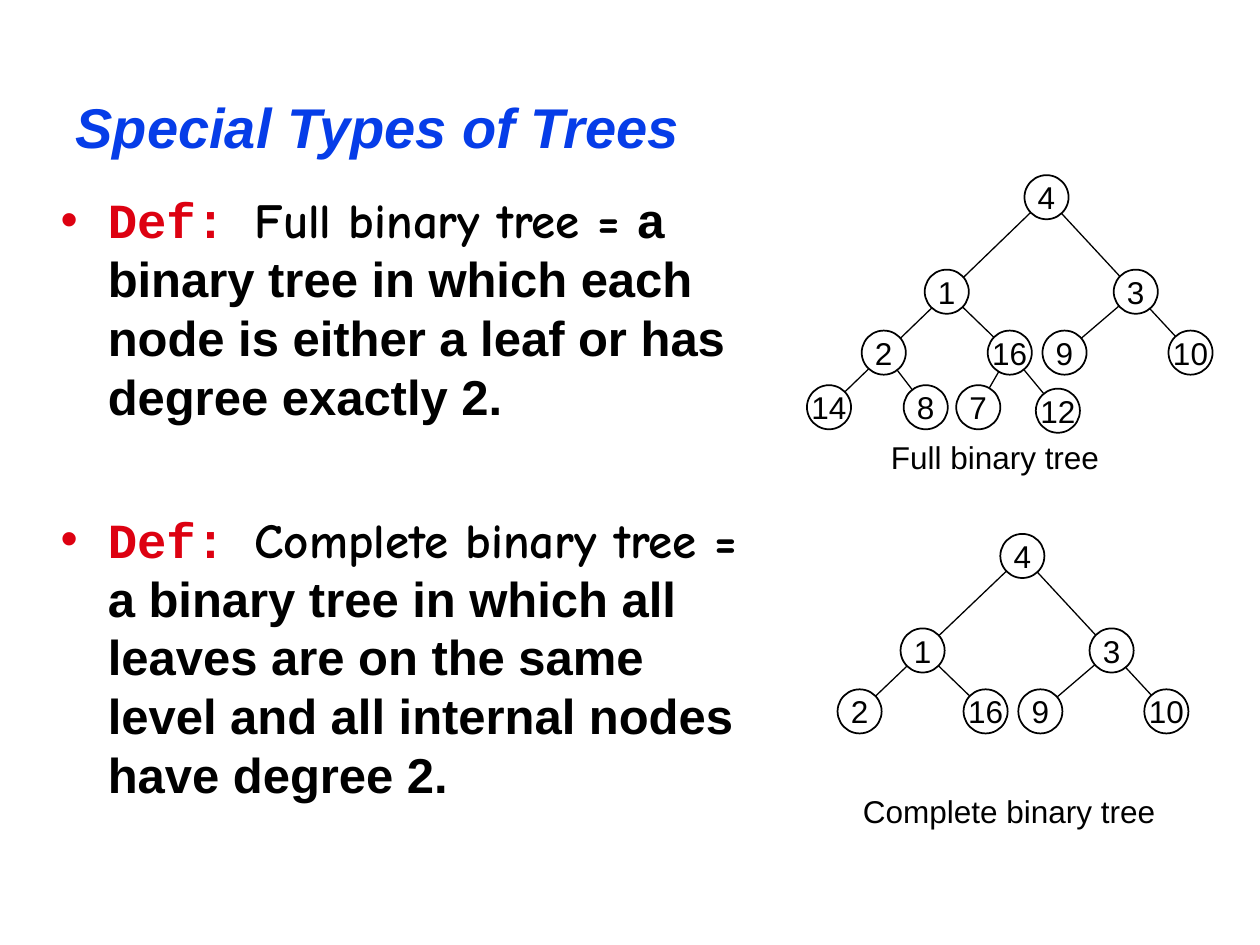
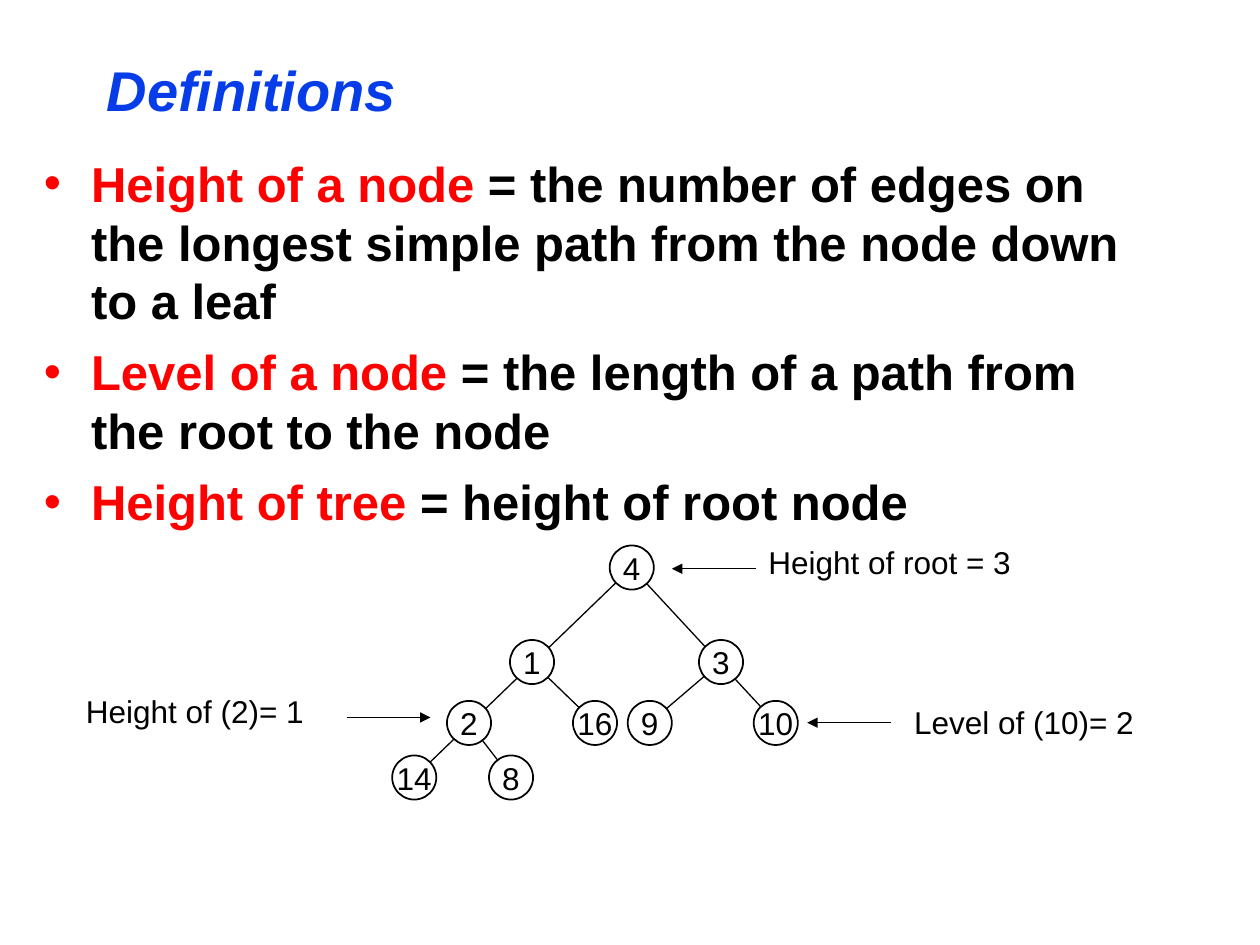
from lxml import etree
from pptx import Presentation
from pptx.dml.color import RGBColor
from pptx.enum import shapes, text
from pptx.oxml import ns
from pptx.util import Pt

BLACK, WHITE, TITLE_BLUE = "000000", "FFFFFF", "063DE8"
CRIMSON, RED = "DD0111", "FF0000"
SANS, MONO, COMIC = "Arial", "Courier New", "Comic Neue"
NODE_SIZE = 25.2
HANGING = 27

OFFSETS = {
    "4": (0, 0), "1": (-57, 54), "3": (51, 54),
    "2": (-93, 88.8), "16": (-21, 88.8), "9": (10.3, 88.8), "10": (82.3, 88.8),
    "14": (-124.3, 120), "8": (-69, 120), "7": (-39, 120), "12": (6.5, 122),
}
COMPLETE_NODES = ["4", "1", "3", "2", "16", "9", "10"]
SHARED_BRANCHES = [("10", "4"), ("16", "1"), ("9", "3")]
COMPLETE_BRANCHES = [("2", "4")] + SHARED_BRANCHES
DEEP_BRANCHES = [("14", "4"), ("8", "2")] + SHARED_BRANCHES
FULL_BRANCHES = [("12", "16"), ("7", "16")] + DEEP_BRANCHES


def rgb(value):
    return RGBColor.from_string(value)


def add_child(parent, tag, **attributes):
    return etree.SubElement(parent, ns.qn(tag), attributes)


def style(font, size, color=BLACK, name=SANS, bold=False, italic=False):
    font.name, font.size, font.bold, font.italic = name, Pt(size), bold, italic
    font.color.rgb = rgb(color)


def add_titled_slide(deck, title, left, top, width, height):
    slide = deck.slides.add_slide(deck.slide_layouts[5])
    heading = slide.shapes.title
    heading.left, heading.top = Pt(left), Pt(top)
    heading.width, heading.height = Pt(width), Pt(height)
    frame = heading.text_frame
    frame.text = title
    frame.auto_size = text.MSO_AUTO_SIZE.NONE
    frame.vertical_anchor = text.MSO_ANCHOR.MIDDLE
    line = frame.paragraphs[0]
    line.alignment = text.PP_ALIGN.LEFT
    style(line.runs[0].font, 32, TITLE_BLUE, bold=True, italic=True)
    return slide


def add_bullet(paragraph, color):
    properties = paragraph._p.get_or_add_pPr()
    properties.set("marL", str(Pt(HANGING)))
    properties.set("indent", str(-Pt(HANGING)))
    add_child(add_child(properties, "a:buClr"), "a:srgbClr", val=color)
    add_child(properties, "a:buFont", typeface=SANS)
    add_child(properties, "a:buChar", char="•")


def add_definitions(slide, left, top, width, height, definitions, gap):
    frame = slide.shapes.add_textbox(Pt(left), Pt(top), Pt(width), Pt(height)).text_frame
    frame.word_wrap = True
    for index, parts in enumerate(definitions):
        paragraph = frame.add_paragraph() if index else frame.paragraphs[0]
        add_bullet(paragraph, parts[0][1])
        paragraph.space_before = Pt(gap if index else 0)
        for words, color, name in parts:
            run = paragraph.add_run()
            run.text = words
            style(run.font, 28, color, name, bold=True)


def add_label(slide, words, left, top, width):
    frame = slide.shapes.add_textbox(Pt(left), Pt(top), Pt(width), Pt(28.8)).text_frame
    frame.word_wrap = False
    frame.text = words
    style(frame.paragraphs[0].runs[0].font, 18)


def add_line(slide, start, end, arrow=False):
    line = slide.shapes.add_connector(
        shapes.MSO_CONNECTOR.STRAIGHT, *(Pt(value) for value in (*start, *end)))
    line.line.color.rgb = rgb(BLACK)
    line.line.width = Pt(0.75)
    if arrow:
        add_child(line.line._get_or_add_ln(), "a:tailEnd", type="triangle")
    add_child(line._element.spPr, "a:effectLst")


def add_node(slide, key, center):
    left, top = (value - NODE_SIZE / 2 for value in center)
    node = slide.shapes.add_shape(
        shapes.MSO_SHAPE.OVAL, Pt(left), Pt(top), Pt(NODE_SIZE), Pt(NODE_SIZE))
    node.shadow.inherit = False
    node.fill.solid()
    node.fill.fore_color.rgb = rgb(WHITE)
    node.line.color.rgb = rgb(BLACK)
    node.line.width = Pt(1)
    frame = node.text_frame
    frame.word_wrap = False
    frame.vertical_anchor = text.MSO_ANCHOR.MIDDLE
    frame.text = key
    frame.paragraphs[0].alignment = text.PP_ALIGN.CENTER
    style(frame.paragraphs[0].runs[0].font, 18)


def add_tree(slide, root_x, root_y, keys, branches):
    centers = {key: (root_x + OFFSETS[key][0], root_y + OFFSETS[key][1]) for key in keys}
    for lower, upper in branches:
        add_line(slide, centers[lower], centers[upper])
    for key, center in centers.items():
        add_node(slide, key, center)


def build_special_trees(deck):
    slide = add_titled_slide(deck, "Special Types of Trees", 36, 18, 648, 108)
    definitions = [
        [("Def: ", CRIMSON, MONO), (f"{kind} binary tree = ", BLACK, COMIC), (meaning, BLACK, SANS)]
        for kind, meaning in [
            ("Full", "a binary tree in which each node is either a leaf or has degree exactly 2."),
            ("Complete", "a binary tree in which all leaves are on the same level "
                         "and all internal nodes have degree 2."),
        ]
    ]
    add_definitions(slide, 27.5, 105, 417, 405, definitions, gap=48)
    add_tree(slide, 598, 112.7, list(OFFSETS), FULL_BRANCHES)
    add_label(slide, "Full binary tree", 502, 246.5, 135)
    add_tree(slide, 584.2, 317.7, COMPLETE_NODES, COMPLETE_BRANCHES)
    add_label(slide, "Complete binary tree", 486, 449, 183)


def build_definitions(deck):
    slide = add_titled_slide(deck, "Definitions", 53.8, 24, 612, 54)
    definitions = [
        [(term, RED, SANS), (meaning, BLACK, SANS)]
        for term, meaning in [
            ("Height of a node ", "= the number of edges on the longest simple path "
                                  "from the node down to a leaf"),
            ("Level of a node ", "= the length of a path from the root to the node"),
            ("Height of tree ", "= height of root node"),
        ]
    ]
    add_definitions(slide, 18, 84, 648, 306, definitions, gap=7)
    add_tree(slide, 361, 324.3, COMPLETE_NODES + ["14", "8"], DEEP_BRANCHES)
    for words, left, top, width, arrow_start, arrow_end, arrow_y in [
        ("Height of root = 3", 432, 307, 153, 432, 384, 325),
        ("Height of (2)= 1", 42, 392, 139, 198, 246, 410),
        ("Level of (10)= 2", 515.3, 398, 140, 509.3, 461.3, 413),
    ]:
        add_label(slide, words, left, top, width)
        add_line(slide, (arrow_start, arrow_y), (arrow_end, arrow_y), arrow=True)


def main():
    deck = Presentation()
    deck.slide_width, deck.slide_height = Pt(720), Pt(540)
    build_special_trees(deck)
    build_definitions(deck)
    deck.save("out.pptx")


if __name__ == "__main__":
    main()
